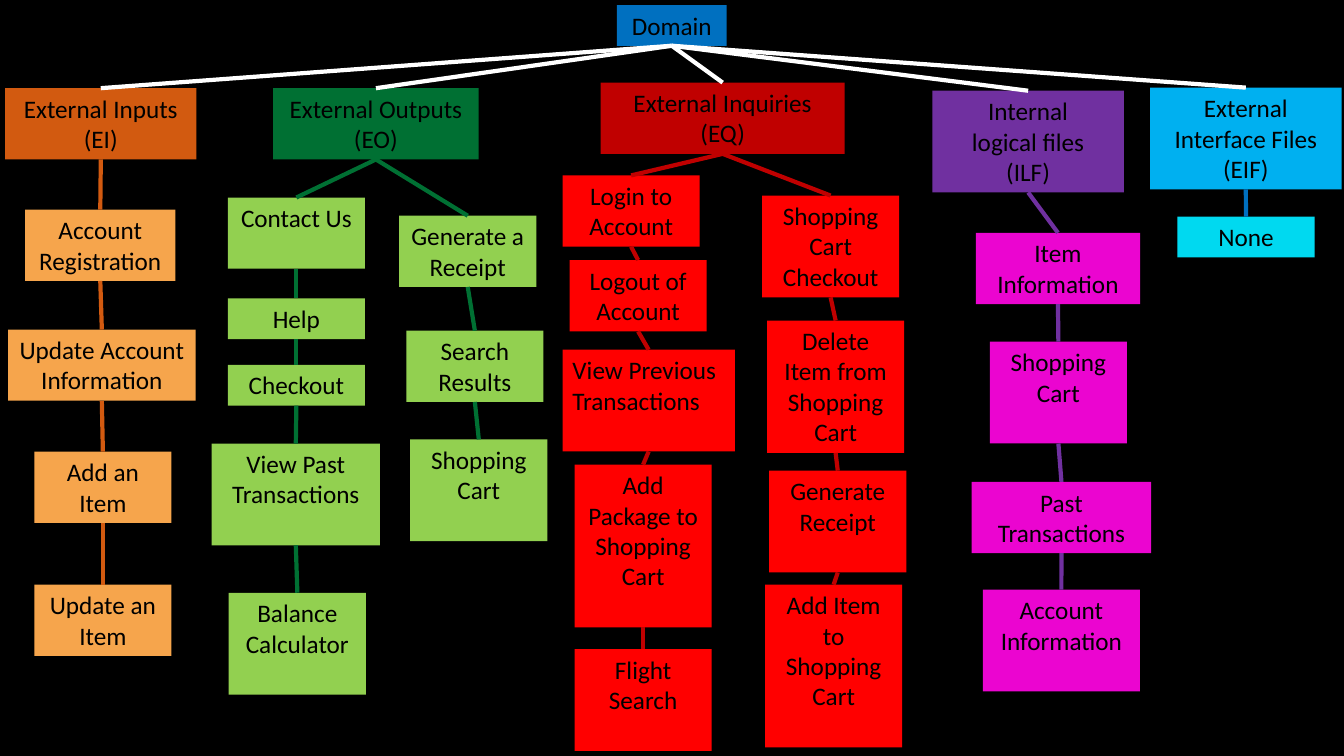
from lxml.etree import SubElement
from pptx import Presentation
from pptx.dml.color import RGBColor
from pptx.enum.shapes import MSO_CONNECTOR as CONNECTOR
from pptx.enum.text import MSO_ANCHOR as ANCHOR, PP_ALIGN as ALIGN
from pptx.oxml.ns import qn
from pptx.util import Pt

BLACK = RGBColor(0x00, 0x00, 0x00)
WHITE = RGBColor(0xFF, 0xFF, 0xFF)
BLUE = RGBColor(0x00, 0x70, 0xC0)
RUST = RGBColor(0xD2, 0x5A, 0x10)
ORANGE = RGBColor(0xF6, 0xA5, 0x4C)
GREEN = RGBColor(0x00, 0x70, 0x33)
LIME = RGBColor(0x92, 0xD0, 0x50)
CRIMSON = RGBColor(0xC0, 0x00, 0x00)
RED = RGBColor(0xFF, 0x00, 0x00)
PURPLE = RGBColor(0x70, 0x30, 0xA0)
MAGENTA = RGBColor(0xEB, 0x05, 0xD0)
SKY = RGBColor(0x00, 0xB0, 0xF0)
CYAN = RGBColor(0x00, 0xD9, 0xF0)

ITEM_WIDTH = 98
HEAD_WIDTH = 136.8
ROW_HEIGHT = 21.8
ROW_MARGINS = 7.3
BOTTOM, TOP = 2, 0

# Each entry: text, left, top, height in rows, width
DOMAIN = ("Domain", 440.6, 3.6, 1, 78.5)
BRANCHES = [
    (("External Inputs (EI)", 3.6, 63, 2, HEAD_WIDTH), RUST, ORANGE, RUST, [[
        ("Account Registration", 18, 149.8, 2, 107.3),
        ("Update Account Information", 5.8, 235.4, 2, 133.9),
        ("Add an Item", 24.5, 322.6, 2, ITEM_WIDTH),
        ("Update an Item", 24.5, 417.6, 2, ITEM_WIDTH),
    ]]),
    (("External Outputs\n(EO)", 195.1, 63, 2, 146.9), GREEN, LIME, GREEN, [[
        ("Contact Us", 162.7, 141.1, 2, ITEM_WIDTH),
        ("Help", 162.7, 213.1, 1, ITEM_WIDTH),
        ("Checkout", 162.7, 260.6, 1, ITEM_WIDTH),
        ("View Past Transactions", 151.2, 316.8, 3, 120.2),
        ("Balance Calculator", 163.4, 423.4, 3, ITEM_WIDTH),
    ], [
        ("Generate a Receipt", 285.1, 154.1, 2, ITEM_WIDTH),
        ("Search Results", 290.2, 236.2, 2, ITEM_WIDTH),
        ("Shopping Cart", 293, 313.9, 3, ITEM_WIDTH),
    ]]),
    (("External Inquiries\n(EQ)", 429.1, 59, 2, 174.2), CRIMSON, RED, CRIMSON, [[
        ("Login to Account", 401.8, 125.3, 2, ITEM_WIDTH),
        ("Logout of Account", 406.8, 185.8, 2, ITEM_WIDTH),
        ("View Previous Transactions", 401.8, 249.8, 3, 123.1),
        ("Add Package to Shopping Cart", 410.4, 331.9, 5, ITEM_WIDTH),
        ("Flight Search", 410.4, 463.7, 3, ITEM_WIDTH),
    ], [
        ("Shopping Cart Checkout", 544.3, 139.7, 3, ITEM_WIDTH),
        ("Delete Item from Shopping Cart", 547.9, 229, 4, ITEM_WIDTH),
        ("Generate Receipt", 549.4, 336.2, 3, ITEM_WIDTH),
        ("Add Item to Shopping Cart", 546.5, 417.6, 5, ITEM_WIDTH),
    ]]),
    (("Internal\nlogical files\n(ILF)", 666, 64.8, 3, HEAD_WIDTH), PURPLE, MAGENTA, PURPLE, [[
        ("Item Information", 697, 166.3, 2, 117.4),
        ("Shopping Cart", 707, 244.1, 3, ITEM_WIDTH),
        ("Past Transactions", 694.1, 344.2, 2, 128.2),
        ("Account Information", 702, 421.2, 3, 112.3),
    ]]),
    (("External\nInterface Files\n(EIF)", 821.5, 62.6, 3, HEAD_WIDTH), SKY, CYAN, BLUE, [[
        ("None", 841, 154.8, 1, ITEM_WIDTH),
    ]]),
]
LEFT_ALIGNED = {"View Previous Transactions"}

deck = Presentation()
deck.slide_width, deck.slide_height = Pt(960), Pt(540)
slide = deck.slides.add_slide(deck.slide_layouts[6])
slide.background.fill.solid()
slide.background.fill.fore_color.rgb = BLACK


def add_node(entry, color):
    text, left, top, rows, width = entry
    height = ROW_MARGINS + ROW_HEIGHT * rows
    node = slide.shapes.add_textbox(Pt(left), Pt(top), Pt(width), Pt(height))
    node.fill.solid()
    node.fill.fore_color.rgb = color
    frame = node.text_frame
    frame.word_wrap = True
    frame.vertical_anchor = ANCHOR.TOP
    frame.text = text
    for paragraph in frame.paragraphs:
        paragraph.alignment = ALIGN.LEFT if text in LEFT_ALIGNED else ALIGN.CENTER
        paragraph.font.name = "Calibri"
        paragraph.font.size = Pt(18)
        paragraph.font.color.rgb = BLACK
    return node


def add_link(parent, child, color):
    link = slide.shapes.add_connector(CONNECTOR.STRAIGHT, 0, 0, 0, 0)
    link.begin_connect(parent, BOTTOM)
    link.end_connect(child, TOP)
    link.line.color.rgb = color
    link.line.width = Pt(3)
    SubElement(link._element.spPr, qn("a:effectLst"))


domain = add_node(DOMAIN, BLUE)
links = []
for head_entry, head_color, item_color, link_color, chains in BRANCHES:
    head = add_node(head_entry, head_color)
    links.append((domain, head, WHITE))
    for chain in chains:
        parent = head
        for entry in chain:
            item = add_node(entry, item_color)
            links.append((parent, item, link_color))
            parent = item

for link in links:
    add_link(*link)

deck.save("out.pptx")
